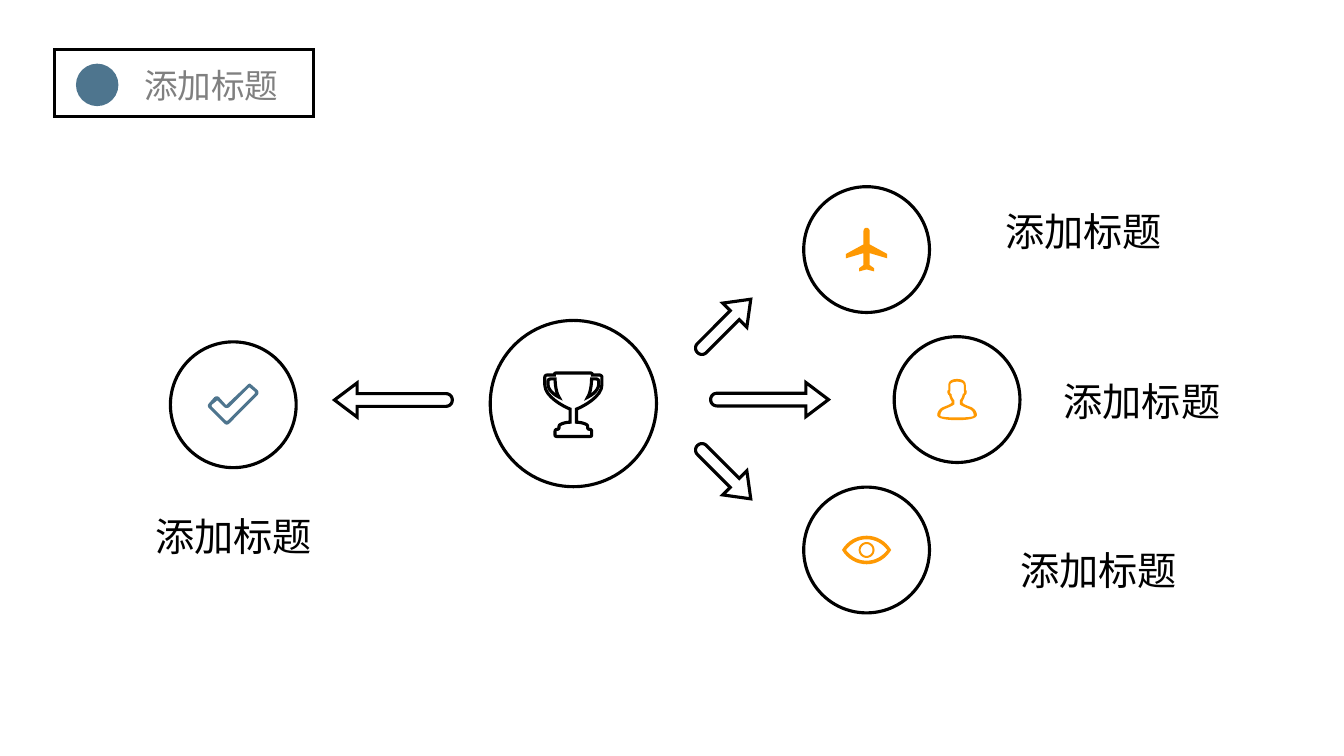
from math import cos, radians, sin

from lxml.etree import SubElement
from pptx import Presentation
from pptx.dml.color import RGBColor
from pptx.enum.shapes import MSO_SHAPE as SHAPE
from pptx.enum.text import MSO_ANCHOR as ANCHOR, MSO_AUTO_SIZE as AUTO, PP_ALIGN as ALIGN
from pptx.oxml.ns import qn
from pptx.util import Cm, Pt

BLACK = RGBColor(0x00, 0x00, 0x00)
GREY = RGBColor(0x80, 0x80, 0x80)
BLUE = RGBColor(0x4E, 0x75, 0x8E)
ORANGE = RGBColor(0xFE, 0x99, 0x03)

FONT = "Noto Sans CJK JP"
CAPTION = "添加标题"
CURVE_STEPS = 8

# Icon outlines in hundredths of a centimetre, around the icon centre.
# Half outlines give the right side and are closed by their mirror image.
TROPHY_HALF = (
    "M 0 -80 L 43 -80 C 46 -80 48 -78 48 -75 L 64 -75 C 69 -75 72 -73 72 -69 "
    "L 72 -50 C 72 -21 26 4 8 11 L 8 44 C 8 44 23 44 33 50 C 36 52 36 53 36 57 "
    "C 36 60 38 62 41 62 C 44 62 46 64 46 67 L 46 77 C 46 79 44 80 41 80 L 0 80")
TROPHY_HANDLE = (
    "M 64 -52 C 64 -32 36 -19 36 -19 C 46 -34 46 -65 46 -65 L 56 -65 "
    "C 61 -65 64 -63 64 -58")
PLANE_HALF = (
    "M 0 -55 C 5 -55 8 -50 8 -45 L 8 -13 L 52 11 L 52 22 L 8 9 L 8 39 "
    "L 19 47 L 19 55 L 0 50")
PERSON_HALVES = (
    "M 0 -52 C 14 -52 22 -46 22 -36 L 22 -24 C 26 -23 25 -13 20 -11 "
    "C 19 -6 17 -1 14 4 L 14 8 C 16 12 28 16 36 19 C 42 22 50 29 50 39 "
    "C 50 48 27 52 0 52",
    "M 0 -45 C 9 -45 17 -43 17 -36 L 17 -22 C 19 -19 17 -14 14 -14 "
    "C 14 -8 11 -3 7 2 L 7 12 C 13 17 22 20 29 23 C 37 26 42 31 42 41 "
    "C 40 44 20 45 0 45")
EYE_HALVES = (
    "M 0 -36 C 26 -36 49 -22 62 0 C 49 22 26 36 0 36",
    "M 0 -27 C 22 -27 40 -16 52 0 C 40 16 22 27 0 27",
    "M 0 -20 C 11 -20 20 -11 20 0 C 20 11 11 20 0 20",
    "M 0 -15 C 8 -15 15 -8 15 0 C 15 8 8 15 0 15")
CHECK = (
    "M 61 -24 L -10 47 C -14 51 -19 51 -23 47 L -61 9 C -65 5 -65 0 -61 -4 "
    "L -48 -19 C -44 -22 -39 -22 -36 -19 L -18 1 L 36 -50 C 39 -54 43 -54 46 -50 "
    "L 61 -37 C 64 -33 64 -28 61 -24",
    "M 53 -34 L 43 -42 C 42 -44 39 -44 38 -42 L -10 6 C -14 9 -19 9 -23 6 "
    "L -38 -9 C -39 -11 -42 -11 -43 -9 L -53 -1 C -55 1 -55 4 -53 6 "
    "L -20 39 C -18 41 -15 41 -13 39 L 53 -27 C 55 -29 55 -32 53 -34")


def trace(outline):
    """Turn an outline of M, L and C steps into points."""
    points = []
    for step in outline.replace("L", "|L").replace("C", "|C").split("|"):
        kind, *numbers = step.split()
        pairs = list(zip(map(float, numbers[::2]), map(float, numbers[1::2])))
        if kind != "C":
            points += pairs
            continue
        controls = [points[-1], *pairs]
        for i in range(1, CURVE_STEPS + 1):
            t = i / CURVE_STEPS
            weights = ((1 - t) ** 3, 3 * t * (1 - t) ** 2, 3 * t * t * (1 - t), t ** 3)
            points.append(tuple(sum(w * c[axis] for w, c in zip(weights, controls))
                                for axis in (0, 1)))
    return points


def flip(points):
    return [(-x, y) for x, y in reversed(points)]


def whole(half):
    points = trace(half)
    return points + flip(points)


class Slide:
    """Holds the current slide and its drawing style."""

    def __init__(self, prs):
        self.s = prs.slides.add_slide(prs.slide_layouts[6])

    def style(self, sp, fill=None):
        """Solid shapes have no line; open shapes get the black line."""
        sp.shadow.inherit = False
        if fill is not None:
            sp.fill.solid()
            sp.fill.fore_color.rgb = fill
            sp.line.fill.background()
            return
        sp.fill.background()
        sp.line.color.rgb = BLACK
        sp.line.width = Pt(2.25)
        ln = sp.line._get_or_add_ln()
        SubElement(ln, qn("a:miter"), lim="800000")

    def box(self, left, top, width, height):
        sp = self.s.shapes.add_shape(
            SHAPE.RECTANGLE, Cm(left), Cm(top), Cm(width), Cm(height))
        self.style(sp)

    def circle(self, x, y, size, fill=None):
        sp = self.s.shapes.add_shape(
            SHAPE.OVAL, Cm(x - size / 2), Cm(y - size / 2), Cm(size), Cm(size))
        self.style(sp, fill)

    def icon(self, x, y, contours, fill=None):
        builder = None
        for contour in contours:
            points = [(Cm(x + px / 100), Cm(y + py / 100)) for px, py in contour]
            if builder is None:
                builder = self.s.shapes.build_freeform(*points[0], scale=1.0)
            else:
                builder.move_to(*points[0])
            builder.add_line_segments(points[1:], close=True)
        self.style(builder.convert_to_shape(), fill)

    def arrow(self, x, y, length, angle):
        """Arrow with its tip at x, y; the angle runs clockwise from upwards."""
        half = (f"M 0 0 L 43 57 L 16 57 L 16 {length - 16} "
                f"C 16 {length - 7} 9 {length} 0 {length}")
        c, s = cos(radians(angle)), sin(radians(angle))
        self.icon(x, y, [[(px * c - py * s, px * s + py * c) for px, py in whole(half)]])

    def text(self, left, top, width, height, size, color, frame, align):
        tf = self.s.shapes.add_textbox(
            Cm(left), Cm(top), Cm(width), Cm(height)).text_frame
        for name, value in {"word_wrap": True, **frame}.items():
            setattr(tf, name, value)
        p = tf.paragraphs[0]
        p.alignment = align
        r = p.add_run()
        r.text = CAPTION
        for name, value in {"name": FONT, "size": Pt(size)}.items():
            setattr(r.font, name, value)
        r.font.color.rgb = color
        SubElement(r._r.get_or_add_rPr(), qn("a:ea"), typeface=FONT)


def main():
    prs = Presentation()
    prs.slide_width, prs.slide_height = Cm(33.87), Cm(19.05)
    slide = Slide(prs)

    # Heading
    slide.box(1.37, 1.24, 6.53, 1.7)
    slide.circle(2.45, 2.14, 1.07, BLUE)
    slide.text(3.38, 1.5, 4.14, 1.27, 24, GREY,
               {"auto_size": AUTO.SHAPE_TO_FIT_TEXT}, ALIGN.JUSTIFY)

    # Trophy in the middle
    handle = trace(TROPHY_HANDLE)
    slide.circle(14.45, 10.17, 4.19)
    slide.icon(14.45, 10.2, [whole(TROPHY_HALF), handle, flip(handle)])

    # Circles with their icons
    for x, y, contours, color in (
            (5.88, 10.2, map(trace, CHECK), BLUE),
            (21.84, 6.29, [whole(PLANE_HALF)], ORANGE),
            (24.12, 10.07, map(whole, PERSON_HALVES), ORANGE),
            (21.84, 13.86, map(whole, EYE_HALVES), ORANGE)):
        slide.circle(x, y, 3.17)
        slide.icon(x, y, contours, color)

    # Arrows out of the trophy
    for x, y, length, angle in ((8.43, 10.08, 297, 270), (20.88, 10.07, 297, 90),
                                (18.92, 12.57, 190, 135), (18.92, 7.54, 190, 45)):
        slide.arrow(x, y, length, angle)

    # Captions
    for left, top in ((2.97, 13), (24.38, 5.33), (25.86, 9.6), (24.77, 13.87)):
        slide.text(left, top, 5.84, 1, 28, BLACK,
                   {"vertical_anchor": ANCHOR.MIDDLE}, ALIGN.CENTER)

    prs.save("out.pptx")


if __name__ == "__main__":
    main()
